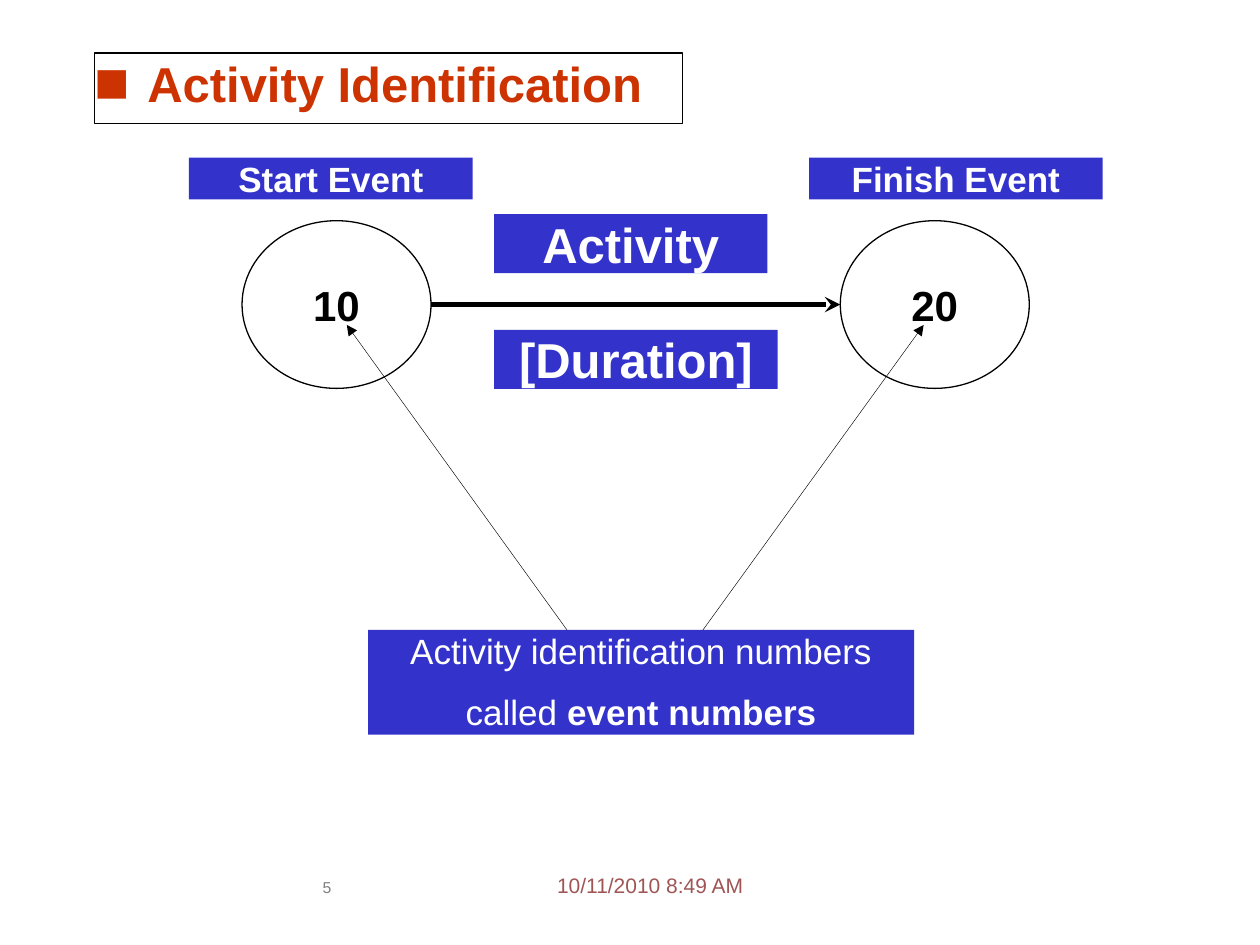
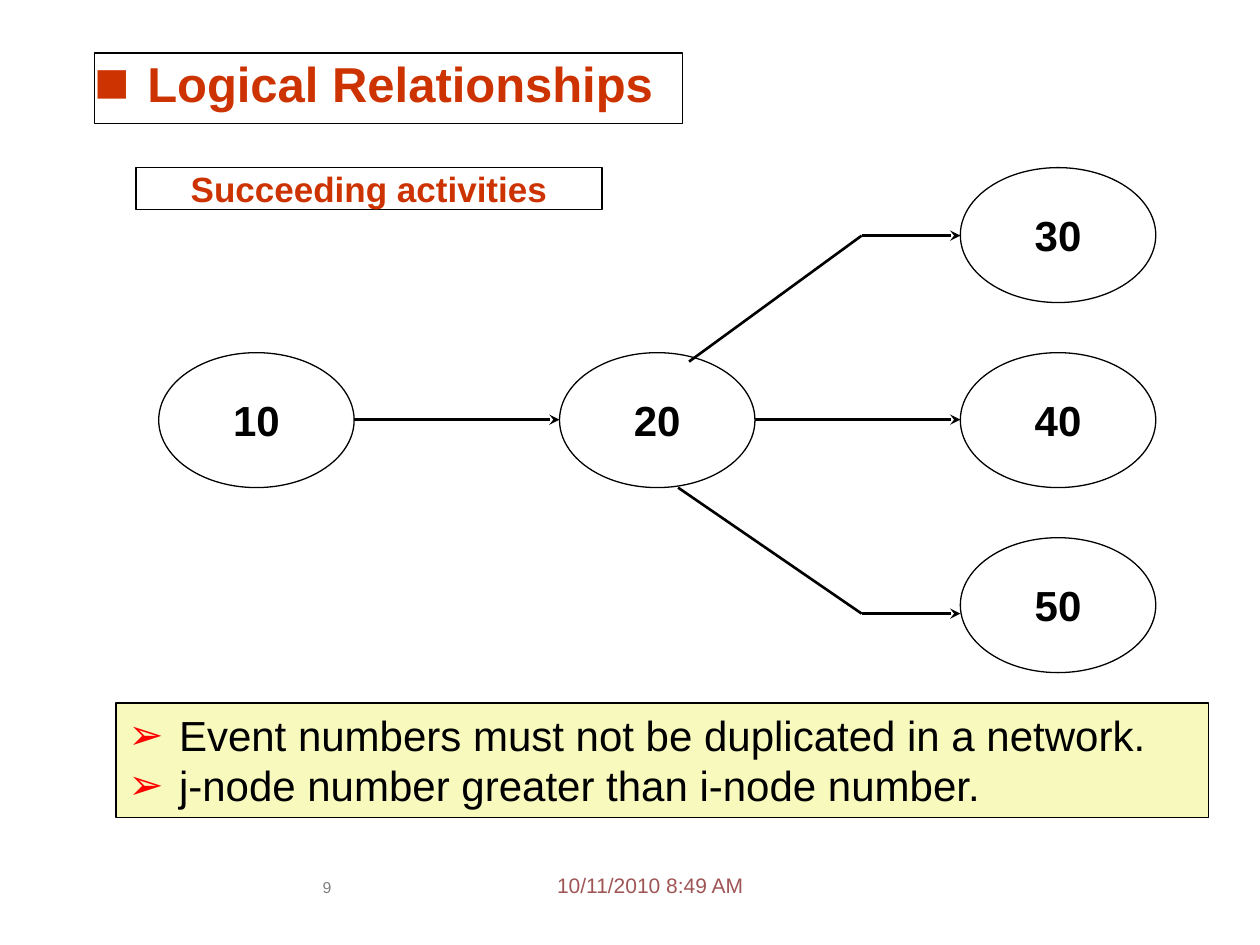
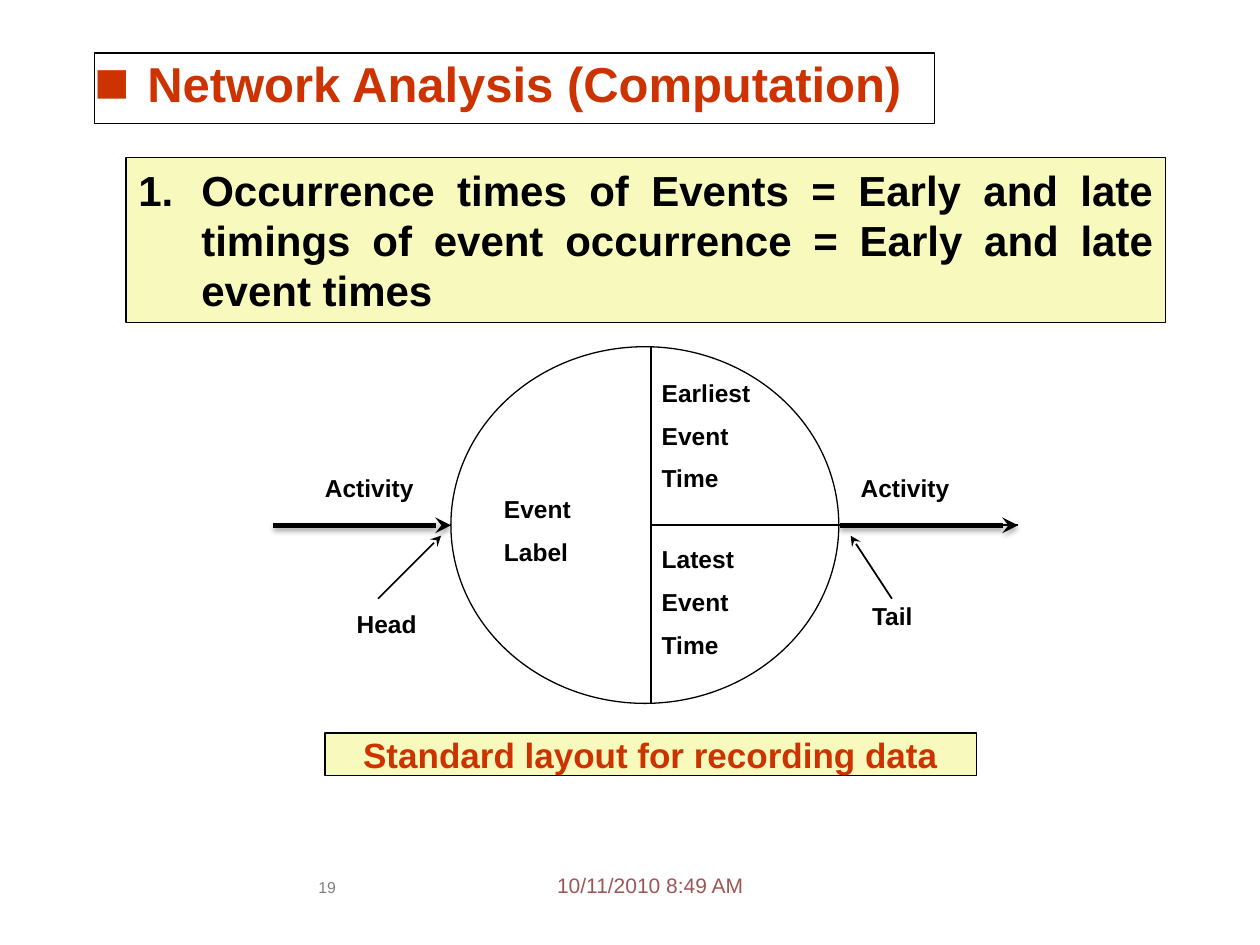
"""Three slides on activity networks."""
from dataclasses import dataclass

import pptx
import pptx.dml.color
import pptx.enum.shapes
import pptx.enum.text
import pptx.oxml
import pptx.oxml.ns
import pptx.util
from lxml import etree

Cm, Pt = pptx.util.Cm, pptx.util.Pt
ALIGN = pptx.enum.text.PP_ALIGN
ANCHOR = pptx.enum.text.MSO_ANCHOR
SHAPE = pptx.enum.shapes.MSO_SHAPE


@dataclass(frozen=True)
class Theme:
    """Colours, font and type sizes of the deck."""
    font: str = "Arial"
    black: str = "000000"
    white: str = "FFFFFF"
    blue: str = "3333CC"
    cream: str = "F8F9BD"
    rust: str = "CC3300"
    red: str = "FF0000"
    date: str = "9F5555"
    gray: str = "808080"
    head: int = 28
    body: int = 24
    label: int = 20
    small: int = 14
    foot: int = 12
    page: int = 9
    thin: float = 0.75
    gap: float = 0.54


def color(code):
    """Turn a hex code into a colour."""
    return pptx.dml.color.RGBColor.from_string(code)


def add(node, tag, **attrs):
    """Append a drawing element and return it."""
    item = etree.SubElement(node, pptx.oxml.ns.qn("a:" + tag))
    for name, value in attrs.items():
        item.set(name, str(value))
    return item


class Deck:
    """Holds the theme and the current slide."""

    def __init__(self, theme):
        """Start an empty deck."""
        self.theme = theme
        self.file = pptx.Presentation()
        self.file.slide_width, self.file.slide_height = Cm(25.4), Cm(19.05)
        self.slide = None

    def start(self, title, page, width=11.86):
        """Add a slide with its boxed title, date and page number."""
        t = self.theme
        self.slide = self.file.slides.add_slide(self.file.slide_layouts[5])
        head = self.slide.shapes.title
        head.left, head.top = Cm(1.9), Cm(1.07)
        head.width, head.height = Cm(width), Cm(1.42)
        self.paint(head, t.white, t.black)
        self.letter(head, [title], t.head, t.rust, True, ALIGN.LEFT,
                    bullet="■", tint=t.rust, scale=120, indent=1.07)
        self.text(["10/11/2010 8:49 AM"], 11.23, 17.58, 4.24, 0.64,
                  t.foot, t.date, False)
        self.text([str(page)], 6.1, 17.7, 0.99, 0.86,
                  t.page, t.gray, False, ALIGN.CENTER)

    def paint(self, shape, fill, line=None):
        """Set the fill and outline of a shape."""
        shape.fill.solid()
        shape.fill.fore_color.rgb = color(fill)
        if line:
            shape.line.color.rgb = color(line)
            shape.line.width = Pt(self.theme.thin)
        else:
            shape.line.fill.background()

    def letter(self, shape, lines, size, ink, bold, align, anchor=ANCHOR.TOP,
               wrap=True, inset=(0, 0), bullet=None, tint=None, scale=None,
               indent=0, gap=0):
        """Fill a shape with lines; a tuple is plain text, then bold text."""
        frame = shape.text_frame
        frame.auto_size = pptx.enum.text.MSO_AUTO_SIZE.NONE
        frame.word_wrap = wrap
        frame.vertical_anchor = anchor
        frame.margin_left = frame.margin_right = Cm(inset[0])
        frame.margin_top = frame.margin_bottom = Cm(inset[1])
        for i, line in enumerate(lines):
            para = frame.add_paragraph() if i else frame.paragraphs[0]
            para.alignment = align
            if i and gap:
                para.space_before = Pt(round(size * gap, 1))
            if bullet:
                self.mark(para, bullet, tint, scale, indent)
            parts = line if isinstance(line, tuple) else (line,)
            for part in parts:
                para.add_run().text = part
            font = para.font
            font.name, font.size = self.theme.font, Pt(size)
            font.color.rgb = color(ink)
            font.bold = bold
            if len(parts) > 1:
                para.runs[-1].font.bold = True

    def mark(self, para, bullet, tint, scale, indent):
        """Give a paragraph a bullet sign, or numbers for "1."."""
        props = para._p.get_or_add_pPr()
        props.set("marL", str(Cm(indent)))
        props.set("indent", str(-Cm(indent)))
        if tint:
            add(add(props, "buClr"), "srgbClr", val=tint)
        if scale:
            add(props, "buSzPct", val=scale * 1000)
        add(props, "buFont", typeface=self.theme.font)
        if bullet == "1.":
            add(props, "buAutoNum", type="arabicPeriod")
        else:
            add(props, "buChar", char=bullet)

    def shape(self, kind, x, y, w, h, fill, line=None):
        """Add a flat preset shape."""
        item = self.slide.shapes.add_shape(kind, Cm(x), Cm(y), Cm(w), Cm(h))
        item.shadow.inherit = False
        self.paint(item, fill, line)
        return item

    def text(self, lines, x, y, w, h, size=None, ink=None, bold=True,
             align=ALIGN.LEFT):
        """Add plain text without a box."""
        t = self.theme
        item = self.slide.shapes.add_textbox(Cm(x), Cm(y), Cm(w), Cm(h))
        self.letter(item, lines, size or t.small, ink or t.black, bold, align,
                    gap=t.gap)

    def band(self, lines, x, y, w, h, size=None, fill=None, ink=None,
             line=None, bold=True):
        """Add a filled label with centred text."""
        t = self.theme
        item = self.shape(SHAPE.RECTANGLE, x, y, w, h, fill or t.blue, line)
        self.letter(item, lines, size or t.label, ink or t.white, bold,
                    ALIGN.CENTER, gap=t.gap)

    def panel(self, lines, x, y, w, h, bullet, indent, tint=None, bold=False):
        """Add a cream panel with a justified list."""
        t = self.theme
        item = self.shape(SHAPE.RECTANGLE, x, y, w, h, t.cream, t.black)
        self.letter(item, lines, t.body, t.black, bold, ALIGN.JUSTIFY,
                    inset=(0.25, 0.13), bullet=bullet, tint=tint,
                    indent=indent)

    def node(self, x, y, w, h, name=None):
        """Add an event circle, with its number if there is one."""
        t = self.theme
        item = self.shape(SHAPE.OVAL, x, y, w, h, t.white, t.black)
        if name:
            self.letter(item, [name], t.body, t.black, True, ALIGN.CENTER,
                        ANCHOR.MIDDLE, wrap=False)

    def line(self, x1, y1, x2, y2, width, head=None, tail=None, shade=False):
        """Add a straight line; head and tail name the arrowheads."""
        item = self.slide.shapes.add_connector(
            pptx.enum.shapes.MSO_CONNECTOR.STRAIGHT,
            Cm(x1), Cm(y1), Cm(x2), Cm(y2))
        item.line.color.rgb = color(self.theme.black)
        item.line.width = Pt(width)
        stroke = item.line._get_or_add_ln()
        for tag, kind in (("headEnd", head), ("tailEnd", tail)):
            if kind:
                add(stroke, tag, type=kind)
        effect = add(item._element.spPr, "effectLst")
        if shade:
            drop = add(effect, "outerShdw", blurRad=Pt(3.1), dist=Pt(1.8),
                       dir=5400000, rotWithShape=0)
            add(add(drop, "srgbClr", val=self.theme.black), "alpha", val=35000)


def identify(deck):
    """Slide on naming an activity by its events."""
    t = deck.theme
    deck.start("Activity Identification", 5)
    for name, x in (("20", 16.94), ("10", 4.88)):
        deck.node(x, 4.45, 3.81, 3.38, name)
    deck.band(["Activity"], 9.96, 4.32, 5.51, 1.19, t.head)
    deck.band(["[Duration]"], 9.96, 6.65, 5.72, 1.19, t.head)
    deck.line(8.69, 6.14, 16.94, 6.14, 3, tail="stealth")
    deck.band(["Start Event"], 3.81, 3.18, 5.72, 0.84)
    deck.band(["Finish Event"], 16.31, 3.18, 5.92, 0.84)
    deck.band(["Activity identification numbers",
               ("called ", "event numbers")], 7.42, 12.7, 11.01, 2.11,
              bold=False)
    for tip, base in ((6.99, 11.43), (18.62, 14.17)):
        deck.line(tip, 6.55, base, 12.7, 0.25, head="triangle")


def relate(deck):
    """Slide on activities that follow one another."""
    t = deck.theme
    deck.start("Logical Relationships", 9)
    left, top, wide, high = 3.2, 3.38, 3.94, 2.72
    across, down = 8.08, 3.73
    cells = (("20", 1, 1), ("10", 0, 1), ("40", 2, 1), ("30", 2, 0),
             ("50", 2, 2))
    for name, col, row in cells:
        deck.node(left + col * across, top + row * down, wide, high, name)
    for col in (0, 1):
        start = left + col * across + wide
        deck.line(start, 8.46, left + (col + 1) * across, 8.46, 1.5,
                  tail="stealth")
    bend = 17.37
    for x, y, end in ((13.89, 7.29, 4.75), (13.67, 9.83, 12.37)):
        deck.line(bend, end, left + 2 * across, end, 1.5, tail="stealth")
        deck.line(x, y, bend, end, 1.5)
    deck.band(["Succeeding activities"], 2.74, 3.38, 9.4, 0.84,
              fill=t.white, ink=t.rust, line=t.black)
    deck.panel(["Event numbers must not be duplicated in a network.",
                "j-node number greater than i-node number."],
               2.34, 14.17, 22.02, 2.31, "➢", 1.02, t.red)


def compute(deck):
    """Slide on the times recorded at an event."""
    t = deck.theme
    deck.start("Network Analysis (Computation)", 19, 16.94)
    deck.band(["Standard layout for recording data"], 6.55, 14.78, 13.13, 0.86,
              fill=t.cream, ink=t.rust, line=t.black)
    deck.panel(["Occurrence times of Events = Early and late timings of event "
                "occurrence = Early and late event times"],
               2.54, 3.18, 20.96, 3.33, "1.", 1.27, bold=True)
    deck.node(9.09, 6.99, 7.82, 7.19)
    axis, mid = 13.13, 10.59
    deck.line(axis, 6.99, axis, 14.17, 1)
    deck.line(axis, mid, 20.52, mid, 1)
    for word, y, wide in (("Earliest", 7.62, 4.01), ("Latest", 10.97, 2.97)):
        deck.text([word, "Event", "Time"], 13.34, y, wide, 2.36)
    deck.text(["Event", "Label"], 10.16, 9.96, 2.97, 1.47)
    for word, x, y in (("Activity", 6.55, 9.53), ("Activity", 17.35, 9.53),
                       ("Head", 7.19, 12.27), ("Tail", 17.58, 12.12)):
        deck.text([word], x, y, 2.97, 0.58)
    for base, tip in ((7.62, 8.89), (17.98, 17.15)):
        deck.line(base, 12.07, tip, 10.8, 1, tail="stealth")
    for x in (5.51, 16.94):
        deck.line(x, mid, x + 3.58, mid, 3, tail="stealth", shade=True)


def main():
    """Build and save the deck."""
    deck = Deck(Theme())
    for build in (identify, relate, compute):
        build(deck)
    deck.file.save("out.pptx")


main()
